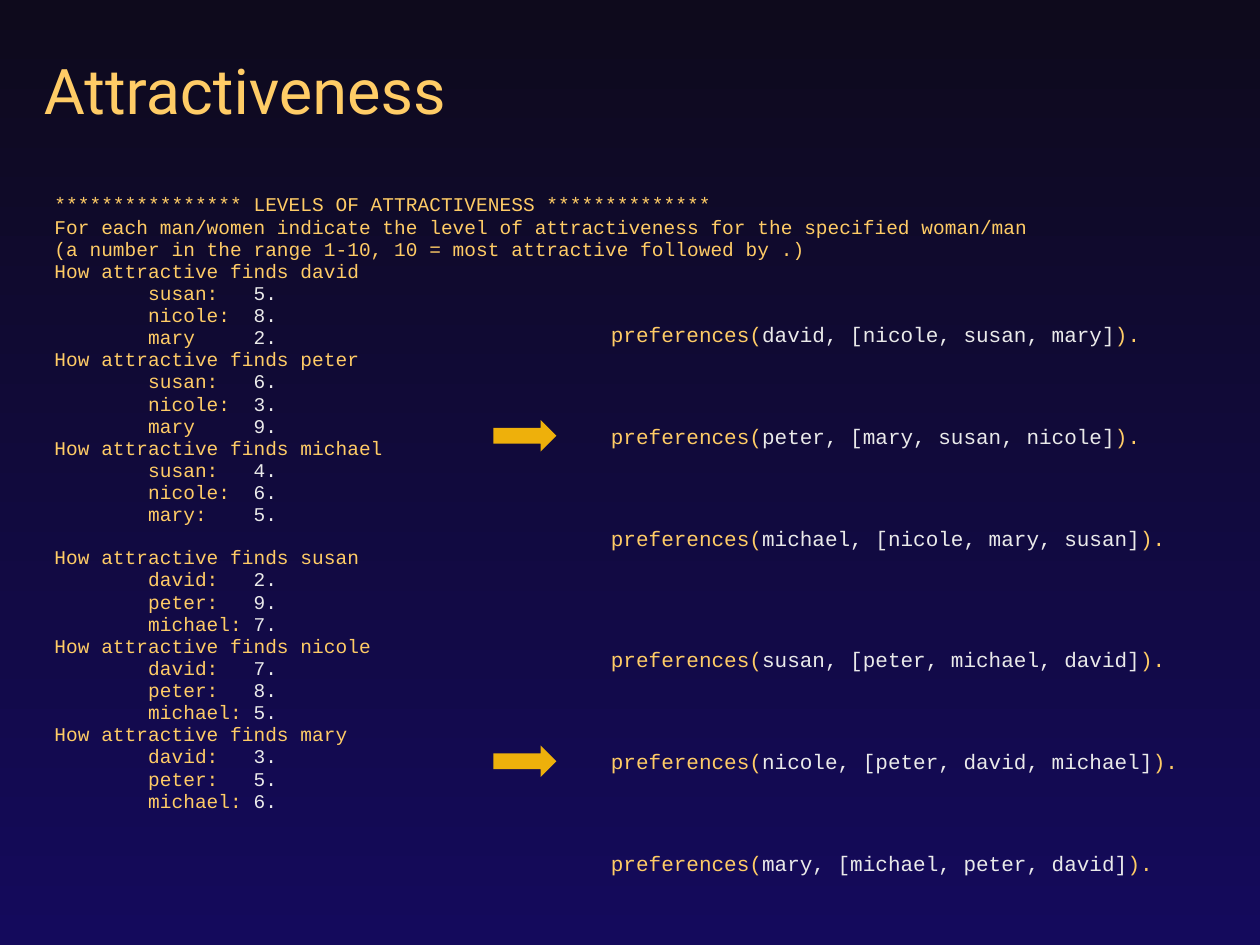
from pptx import Presentation
from pptx.dml.color import RGBColor as Rgb
from pptx.enum.shapes import MSO_SHAPE as Shape
from pptx.enum.text import MSO_ANCHOR as Anchor
from pptx.util import Inches, Pt

COLORS = {"night": "0E0A1C", "indigo": "140A5C", "gold": "FFCC66", "pale": "EAEAEA", "arrow": "EEB00B"}
CODE_FONT = "Courier New"
BANNER = [
    "**************** LEVELS OF ATTRACTIVENESS **************",
    "For each man/women indicate the level of attractiveness for the specified woman/man",
    "(a number in the range 1-10, 10 = most attractive followed by .)",
]
RATINGS = {
    "david": [("susan:", 5), ("nicole:", 8), ("mary", 2)],
    "peter": [("susan:", 6), ("nicole:", 3), ("mary", 9)],
    "michael": [("susan:", 4), ("nicole:", 6), ("mary:", 5)],
    "susan": [("david:", 2), ("peter:", 9), ("michael:", 7)],
    "nicole": [("david:", 7), ("peter:", 8), ("michael:", 5)],
    "mary": [("david:", 3), ("peter:", 5), ("michael:", 6)],
}
MEN_FACTS = ["david, [nicole, susan, mary]", "peter, [mary, susan, nicole]", "michael, [nicole, mary, susan]"]
WOMEN_FACTS = ["susan, [peter, michael, david]", "nicole, [peter, david, michael]", "mary, [michael, peter, david]"]
LINE_GAP, GROUP_GAP, FACT_GAP = 0.65, 12.6, 43.9


def write(paragraph, text, font=CODE_FONT, size=12, color="gold"):
    run = paragraph.add_run()
    run.text = text
    run.font.name = font
    run.font.size = Pt(size)
    run.font.color.rgb = Rgb.from_string(COLORS[color])


def hang(paragraph, depth):
    properties = paragraph._p.get_or_add_pPr()
    properties.set("marL", str(Inches(depth)))
    properties.set("indent", str(Inches(-depth)))


class Deck:
    """Holds the style and the current slide, placed on a grid of 120 by 90 cells."""

    columns, rows = 120, 90

    def __init__(self):
        self.show = Presentation()
        self.show.slide_width, self.show.slide_height = Inches(10), Inches(7.5)
        self.slide = self.show.slides.add_slide(self.show.slide_layouts[6])
        backdrop = self.slide.background.fill
        backdrop.gradient()
        backdrop.gradient_angle = 270
        for stop, color, position in zip(backdrop.gradient_stops, ("night", "indigo"), (0, 1)):
            stop.color.rgb = Rgb.from_string(COLORS[color])
            stop.position = position

    def place(self, column, row, width, height):
        cell_width = self.show.slide_width / self.columns
        cell_height = self.show.slide_height / self.rows
        return [round(n) for n in (column * cell_width, row * cell_height, width * cell_width, height * cell_height)]

    def frame(self, *cells, anchor=Anchor.TOP):
        frame = self.slide.shapes.add_textbox(*self.place(*cells)).text_frame
        frame.word_wrap = True
        frame.vertical_anchor = anchor
        return frame

    def title(self, text, *cells):
        heading = self.frame(*cells, anchor=Anchor.MIDDLE).paragraphs[0]
        write(heading, text, font="Roboto", size=36)

    def lines(self, content, *cells, size=12, spacing=1.0, depth=0):
        frame = self.frame(*cells)
        for index, (gap, parts) in enumerate(content):
            line = frame.add_paragraph() if index else frame.paragraphs[0]
            hang(line, depth)
            line.line_spacing = spacing
            line.space_before = Pt(gap if index else 0)
            for text, color in parts:
                write(line, text, size=size, color=color)

    def facts(self, facts, *cells, depth=0):
        content = [(FACT_GAP, [("preferences(", "gold"), (fact, "pale"), (").", "gold")]) for fact in facts]
        self.lines(content, *cells, depth=depth)

    def arrow(self, *cells):
        arrow = self.slide.shapes.add_shape(Shape.RIGHT_ARROW, *self.place(*cells))
        arrow.shadow.inherit = False
        arrow.fill.solid()
        arrow.fill.fore_color.rgb = Rgb.from_string(COLORS["arrow"])
        arrow.line.fill.background()


def questionnaire():
    content = [(LINE_GAP, [(text, "gold")]) for text in BANNER]
    for person, scores in RATINGS.items():
        gap = GROUP_GAP if person == "susan" else LINE_GAP
        content.append((gap, [(f"How attractive finds {person}", "gold")]))
        for label, score in scores:
            content.append((LINE_GAP, [(f"        {label:<9}", "gold"), (f"{score}.", "pale")]))
    return content


def main():
    deck = Deck()
    deck.title("Attractiveness", 3, 4, 112, 9)
    deck.lines(questionnaire(), 4, 18, 112, 68, size=11.1, spacing=0.9, depth=0.21)
    deck.facts(MEN_FACTS, 57, 30, 58, 23, depth=0.21)
    for row in (40, 71):
        deck.arrow(47, row, 6, 3)
    deck.facts(WOMEN_FACTS, 57, 61, 58, 23)
    deck.show.save("out.pptx")


if __name__ == "__main__":
    main()
